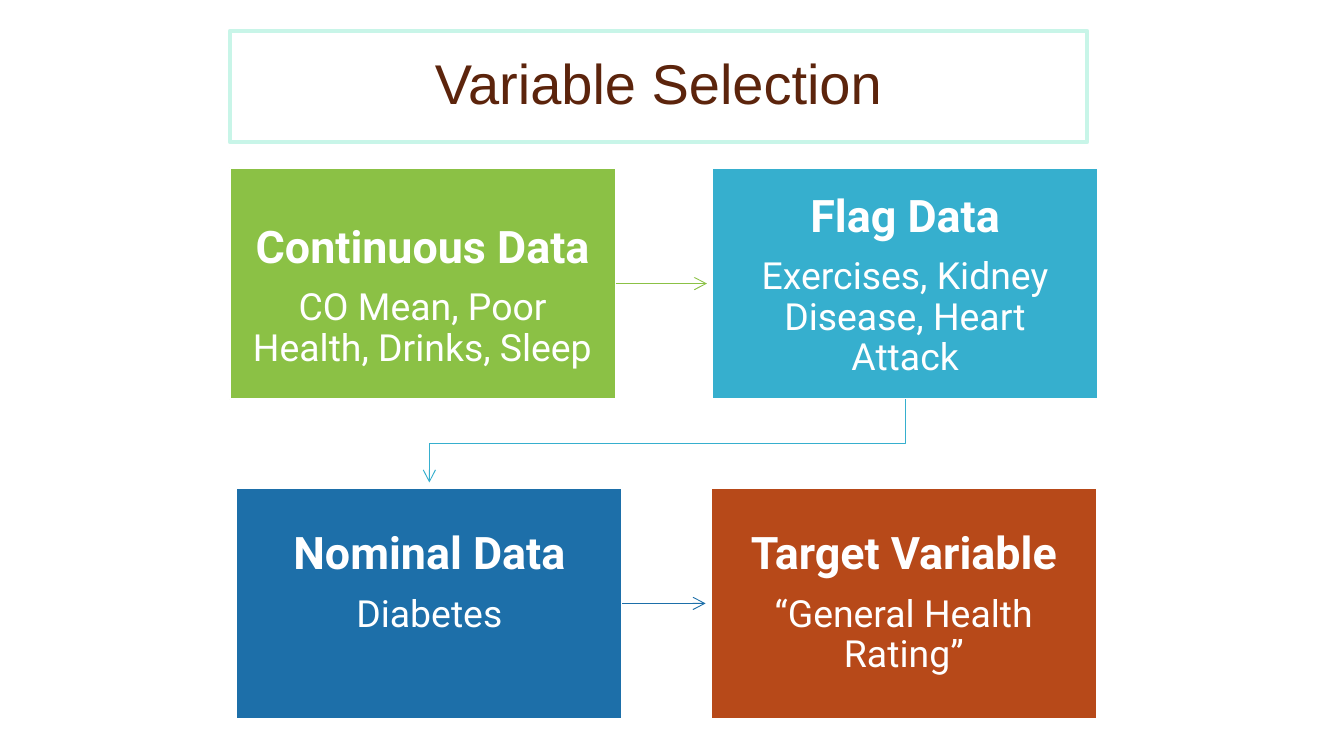
from lxml import etree
from pptx import Presentation
from pptx.dml.color import RGBColor
from pptx.enum import shapes, text
from pptx.oxml import ns
from pptx.util import Inches, Pt

WHITE = RGBColor(0xFF, 0xFF, 0xFF)
MINT = RGBColor(0xC8, 0xF5, 0xE8)
BROWN = RGBColor(0x5C, 0x24, 0x0C)
GREEN = RGBColor(0x8B, 0xC1, 0x45)
SKY = RGBColor(0x36, 0xAF, 0xCE)
BLUE = RGBColor(0x1D, 0x6F, 0xA9)
RUST = RGBColor(0xB7, 0x49, 0x19)

TITLE = "Variable Selection"
SLIDE_WIDTH = 10
SLIDE_HEIGHT = SLIDE_WIDTH * 9 / 16
CARD_WIDTH, CARD_HEIGHT = 2.87, 1.72
TOP_ROW, BOTTOM_ROW = 1.25, 3.63
ARROW_GAP = 0.04
# heading, details, colour, left, top, space above the heading
CARDS = [
    ("Continuous Data", "CO Mean, Poor Health, Drinks, Sleep", GREEN, 1.71, TOP_ROW, 0.42),
    ("Flag Data", "Exercises, Kidney Disease, Heart Attack", SKY, 5.3, TOP_ROW, 0.19),
    ("Nominal Data", "Diabetes", BLUE, 1.76, BOTTOM_ROW, 0.32),
    ("Target Variable", "“General Health Rating”", RUST, 5.29, BOTTOM_ROW, 0.32),
]
HEADING = {"name": "Roboto", "size": Pt(24), "bold": True}
DETAILS = {"name": "Roboto", "size": Pt(20), "bold": False}


def add_box(slide, left, top, width, height, border, border_width):
    box = slide.shapes.add_shape(
        shapes.MSO_SHAPE.RECTANGLE, *map(Inches, (left, top, width, height)))
    box.shadow.inherit = False
    box.line.color.rgb = border
    box.line.width = Pt(border_width)
    box.text_frame.word_wrap = True
    return box


def write(paragraph, words, color, font):
    paragraph.text = words
    paragraph.alignment = text.PP_ALIGN.CENTER
    paragraph.line_spacing = 0.9
    paragraph.font.color.rgb = color
    for key, value in font.items():
        setattr(paragraph.font, key, value)


def add_card(slide, heading, details, color, left, top, space_above):
    card = add_box(slide, left, top, CARD_WIDTH, CARD_HEIGHT, WHITE, 1)
    card.fill.solid()
    card.fill.fore_color.rgb = color
    frame = card.text_frame
    frame.vertical_anchor = text.MSO_ANCHOR.TOP
    frame.margin_left = frame.margin_right = Inches(0.14)
    frame.margin_top, frame.margin_bottom = Inches(space_above), 0
    write(frame.paragraphs[0], heading, WHITE, HEADING)
    frame.paragraphs[0].space_after = Pt(8.4)
    write(frame.add_paragraph(), details, WHITE, DETAILS)


def style_arrow(arrow, color):
    arrow.line.color.rgb = color
    arrow.line.width = Pt(0.5)
    etree.SubElement(arrow.line._get_or_add_ln(), ns.qn("a:tailEnd"), type="arrow")


def add_row_arrow(slide, source, target):
    """Joins two cards that stand side by side."""
    color, left, top = source[2:5]
    middle = Inches(top + CARD_HEIGHT / 2)
    arrow = slide.shapes.add_connector(
        shapes.MSO_CONNECTOR.STRAIGHT,
        Inches(left + CARD_WIDTH), middle, Inches(target[3] - ARROW_GAP), middle)
    style_arrow(arrow, color)
    etree.SubElement(arrow._element.spPr, ns.qn("a:effectLst"))


def add_turn_arrow(slide, source, target):
    """Leads from the end of one row to the start of the next."""
    start_x, end_x = (card[3] + CARD_WIDTH / 2 for card in (source, target))
    start_y, end_y = source[4] + CARD_HEIGHT, target[4] - ARROW_GAP
    bend_y = (start_y + target[4]) / 2
    points = [(start_x, start_y), (start_x, bend_y), (end_x, bend_y), (end_x, end_y)]
    start, *rest = [(Inches(x), Inches(y)) for x, y in points]
    builder = slide.shapes.build_freeform(*start)
    builder.add_line_segments(rest, close=False)
    arrow = builder.convert_to_shape()
    arrow.shadow.inherit = False
    arrow.fill.background()
    style_arrow(arrow, source[2])


def main():
    deck = Presentation()
    deck.slide_width, deck.slide_height = Inches(SLIDE_WIDTH), Inches(SLIDE_HEIGHT)
    slide = deck.slides.add_slide(deck.slide_layouts[6])

    title = add_box(slide, 1.71, 0.23, 6.38, 0.83, MINT, 2)
    title.fill.background()
    title.text_frame.vertical_anchor = text.MSO_ANCHOR.MIDDLE
    write(title.text_frame.paragraphs[0], TITLE, BROWN, {"name": "Arial", "size": Pt(30)})

    for card in CARDS:
        add_card(slide, *card)
    continuous, flag, nominal, target = CARDS
    add_row_arrow(slide, continuous, flag)
    add_turn_arrow(slide, flag, nominal)
    add_row_arrow(slide, nominal, target)
    deck.save("out.pptx")


if __name__ == "__main__":
    main()
